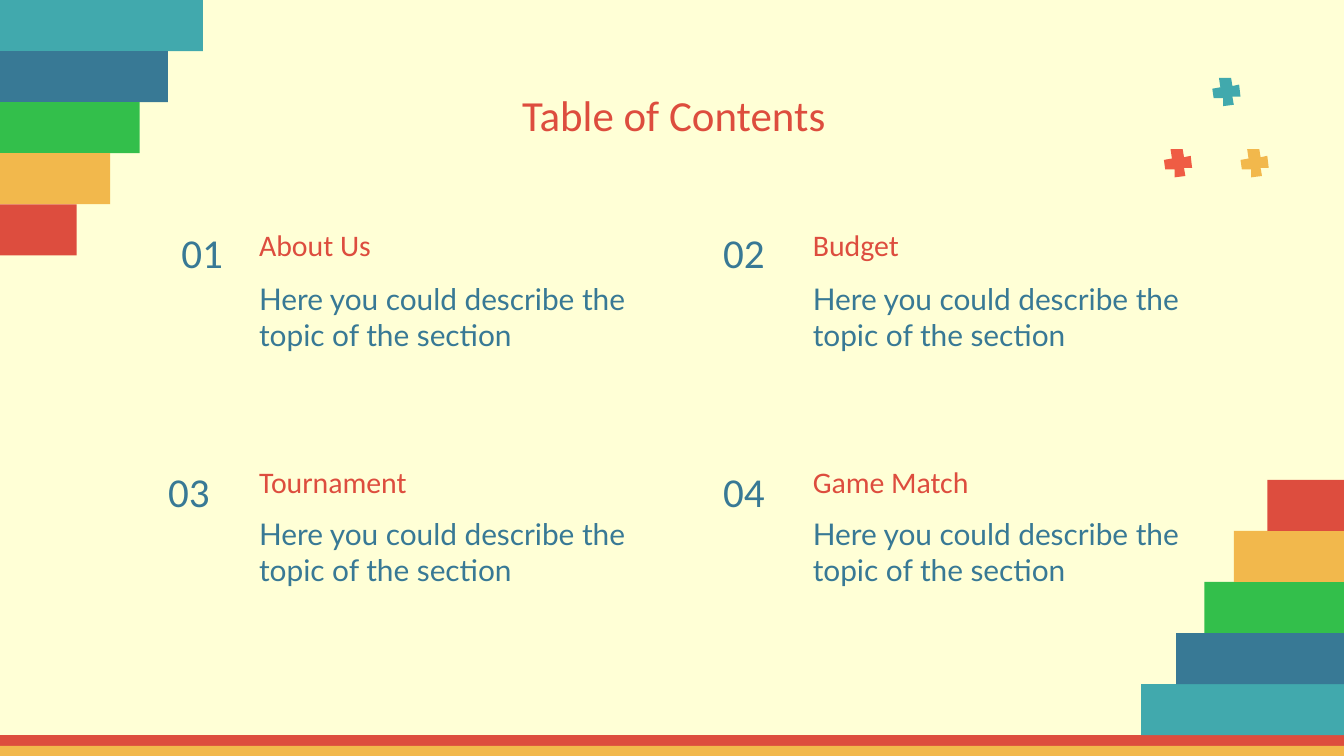
from pptx import Presentation
from pptx import util as u
from pptx.dml.color import RGBColor
from pptx.enum import shapes, text

RED, YELLOW, GREEN, BLUE, TEAL = "DD4D3E", "F2B84C", "33BF4B", "387995", "41A9AD"
CORAL, CREAM = "EF5C44", "FFFFD6"
WIDTH = 10
HEIGHT = WIDTH * 9 / 16
FLOOR_TOP = 5.47
STEP_HEIGHT = 0.38
STEPS = [(1.51, TEAL), (1.25, BLUE), (1.04, GREEN), (0.82, YELLOW), (0.57, RED)]
# Hundredths of an inch from the cross's top left corner
CROSS = [(15, 14), (16, 20), (8, 21), (8, 15), (1, 15), (0, 8),
         (6, 7), (5, 0), (14, 0), (15, 6), (20, 5), (21, 14)]
CROSSES = [(866, 111, CORAL), (902, 58, TEAL), (923, 111, YELLOW)]
COLUMNS = [1.83, 5.95]
ROWS = [(1.43, 1.51, 1.99), (3.21, 3.28, 3.74)]  # tops: number, heading, description
SECTIONS = [("01", "About Us", 0.92), ("02", "Budget", 4.95),
            ("03", "Tournament", 0.82), ("04", "Game Match", 4.95)]
DESCRIPTION = "Here you could describe the topic of the section"


def rgb(color):
    return RGBColor.from_string(color)


def paint(shape, color):
    shape.shadow.inherit = False
    shape.fill.solid()
    shape.fill.fore_color.rgb = rgb(color)
    shape.line.fill.background()


def add_bar(slide, left, top, width, height, color):
    bar = slide.shapes.add_shape(
        shapes.MSO_SHAPE.RECTANGLE,
        u.Inches(left), u.Inches(top), u.Inches(width), u.Inches(height))
    paint(bar, color)
    return bar


def add_stairs(slide):
    """Mirror the same steps in the top left and bottom right corners."""
    for index, (width, color) in enumerate(STEPS):
        add_bar(slide, 0, index * STEP_HEIGHT, width, STEP_HEIGHT, color)
        top = FLOOR_TOP - (index + 1) * STEP_HEIGHT
        step = add_bar(slide, WIDTH - width, top, width, STEP_HEIGHT, color)
        step.rotation = 180


def add_cross(slide, left, top, color):
    points = [(left + x, top + y) for x, y in CROSS]
    builder = slide.shapes.build_freeform(*points[0], scale=u.Inches(0.01))
    builder.add_line_segments(points[1:], close=True)
    paint(builder.convert_to_shape(), color)


def format_text(frame, words, size, color, font="Calibri", centered=False,
                bottom=False, space_after=0):
    frame.text = words
    frame.word_wrap = True
    frame.auto_size = text.MSO_AUTO_SIZE.NONE
    frame.vertical_anchor = text.MSO_ANCHOR.BOTTOM if bottom else text.MSO_ANCHOR.TOP
    frame.margin_left = frame.margin_right = u.Inches(0.1)
    frame.margin_top = frame.margin_bottom = u.Inches(0.1)
    paragraph = frame.paragraphs[0]
    paragraph.alignment = text.PP_ALIGN.CENTER if centered else text.PP_ALIGN.LEFT
    paragraph.line_spacing = 1.0
    paragraph.space_before = u.Pt(0)
    paragraph.space_after = u.Pt(space_after)
    run = paragraph.runs[0]
    run.font.name = font
    run.font.size = u.Pt(size)
    run.font.color.rgb = rgb(color)


def add_text(slide, left, top, width, height, words, size, color, **options):
    box = slide.shapes.add_textbox(
        u.Inches(left), u.Inches(top), u.Inches(width), u.Inches(height))
    format_text(box.text_frame, words, size, color, **options)


def set_title(slide, words):
    title = slide.shapes.title
    title.left, title.top = u.Inches(0.79), u.Inches(0.56)
    title.width, title.height = u.Inches(8.45), u.Inches(0.63)
    format_text(title.text_frame, words, 23, RED, centered=True)


def add_section(slide, index):
    number, heading, number_left = SECTIONS[index]
    row, column = divmod(index, len(COLUMNS))
    left = COLUMNS[column]
    number_top, heading_top, description_top = ROWS[row]
    add_text(slide, left, description_top, 3.03, 0.73, DESCRIPTION, 16, BLUE,
             font="Lato", space_after=12)
    add_text(slide, left, heading_top, 3.22, 0.54, heading, 16, RED, bottom=True)
    add_text(slide, number_left, number_top, 1.17, 0.73, number, 22, BLUE,
             centered=True, bottom=True)


def main():
    presentation = Presentation()
    presentation.slide_width = u.Inches(WIDTH)
    presentation.slide_height = u.Inches(HEIGHT)
    slide = presentation.slides.add_slide(presentation.slide_layouts[5])
    slide.background.fill.solid()
    slide.background.fill.fore_color.rgb = rgb(CREAM)

    set_title(slide, "Table of Contents")
    add_bar(slide, 0, FLOOR_TOP, WIDTH, 0.08, RED)
    add_bar(slide, 0, FLOOR_TOP + 0.08, WIDTH, 0.08, YELLOW)
    add_stairs(slide)
    for index in range(len(SECTIONS)):
        add_section(slide, index)
    for left, top, color in CROSSES:
        add_cross(slide, left, top, color)
    presentation.save("out.pptx")


if __name__ == "__main__":
    main()
